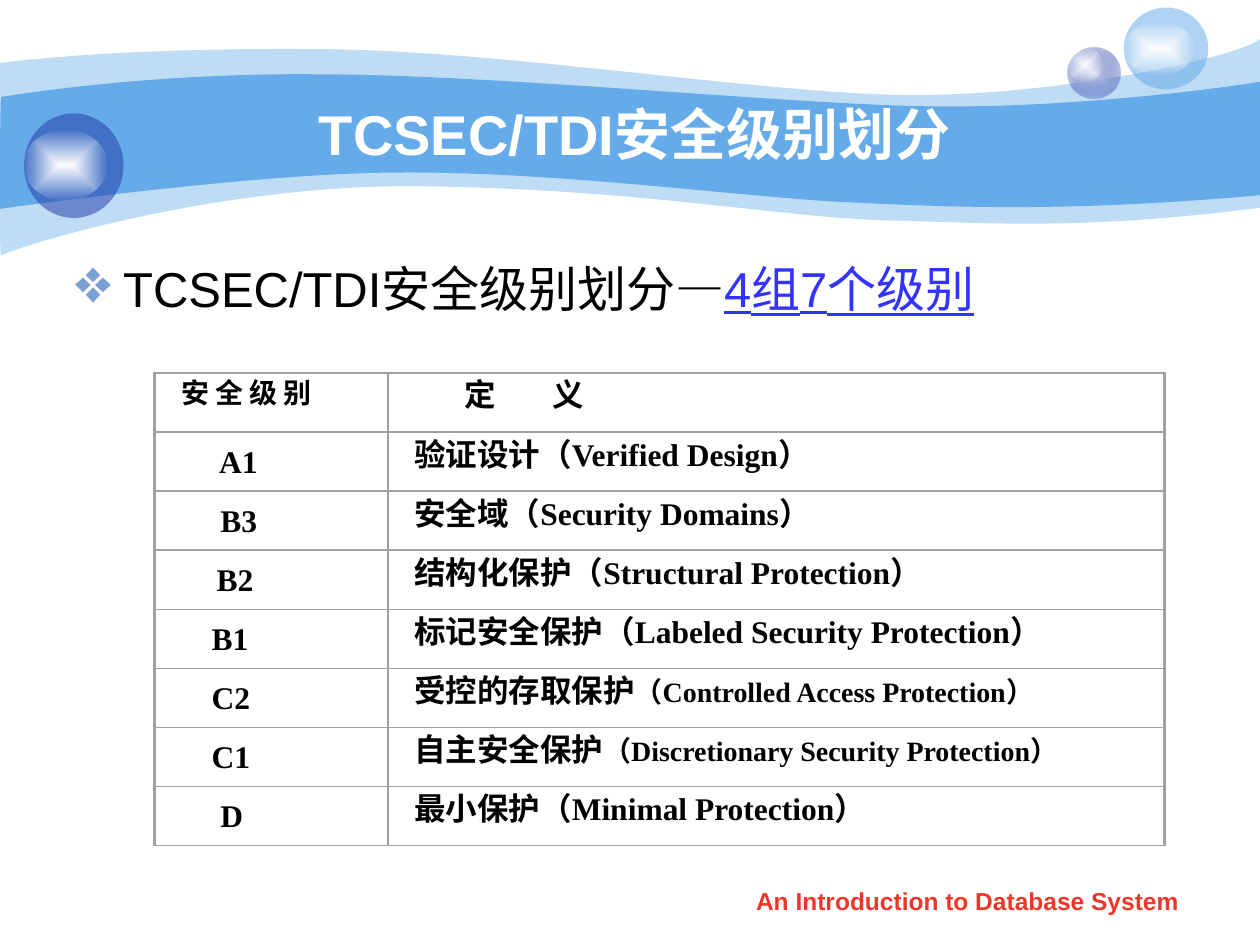
from dataclasses import dataclass

from lxml import etree
from pptx import Presentation
from pptx.dml.color import RGBColor
from pptx.enum.shapes import MSO_SHAPE
from pptx.enum.text import MSO_ANCHOR, PP_ALIGN
from pptx.oxml import parse_xml
from pptx.oxml.ns import nsdecls, qn
from pptx.util import Inches, Pt

OVAL, RECTANGLE = MSO_SHAPE.OVAL, MSO_SHAPE.RECTANGLE
LEFT, CENTER, JUSTIFY = PP_ALIGN.LEFT, PP_ALIGN.CENTER, PP_ALIGN.JUSTIFY
TOP, MIDDLE = MSO_ANCHOR.TOP, MSO_ANCHOR.MIDDLE


@dataclass(frozen=True)
class Theme:
    sky: str = "65AAE9"
    navy: str = "233DA9"
    mist: str = "C7CEE9"
    white: str = "FFFFFF"
    black: str = "000000"
    blue: str = "3333FF"
    red: str = "F03628"
    bullet: str = "7DA0D3"
    border: str = "A0A0A0"
    sans: str = "Arial"
    serif: str = "Times New Roman"
    title_size: float = 32
    body_size: float = 28
    table_size: float = 18
    small_size: float = 16
    footer_size: float = 14
    bullet_percent: int = 128
    frame_width: float = 0.88
    grid_width: float = 0


THEME = Theme()


@dataclass(frozen=True)
class Span:
    text: str
    size: float = THEME.table_size
    color: str = THEME.black
    font: str = THEME.serif
    bold: bool = True
    underline: bool = False
    spacing: float = 0


@dataclass(frozen=True)
class Wave:
    start: tuple
    curves: tuple  # two control points and an end; a lone end is a straight side
    opacity: int


@dataclass(frozen=True)
class Ball:
    box: tuple
    glow: tuple
    color: str
    opacity: int
    center: str = ""  # inner gradient colour, if any


@dataclass(frozen=True)
class Row:
    level: Span
    indent: float
    definition: tuple
    definition_indent: float = 0


WAVES = (
    Wave((0, 0.5), (
        (0.24, 0.47, 1.07, 0.38, 2.47, 0.39), (3.86, 0.39, 5.75, 0.7, 6.99, 0.75),
        (8.22, 0.8, 9.8, 0.47, 10, 0.31), (10, 1.65),
        (8.58, 1.83, 7.87, 1.77, 7.05, 1.75), (6.22, 1.73, 5.15, 1.51, 3.43, 1.48),
        (1.72, 1.44, 0.04, 1.99, 0.01, 2.03), (-0.01, 2.08, 0, 0.75, 0, 0.5)), 41),
    Wave((0.01, 0.77), (
        (0.02, 0.77, 1.1, 0.58, 2.48, 0.59), (3.86, 0.59, 5.95, 0.8, 7.18, 0.84),
        (8.41, 0.88, 9.76, 0.69, 10, 0.65), (10, 1.55),
        (8.53, 1.68, 7.65, 1.65, 6.82, 1.61), (5.99, 1.58, 4.47, 1.36, 3.17, 1.37),
        (2.03, 1.37, -0.02, 1.66, -0.01, 1.66), (0, 1.66, 0, 0.77, 0.01, 0.77)), 100),
)
BALLS = (
    Ball((8.47, 0.38, 0.42, 0.4), (8.47, 0.38, 0.28, 0.27), THEME.navy, 31, THEME.mist),
    Ball((8.92, 0.06, 0.67, 0.65), (8.92, 0.17, 0.56, 0.43), THEME.sky, 53),
    Ball((0.19, 0.9, 0.79, 0.83), (0.19, 1.03, 0.66, 0.56), THEME.navy, 53),
)
ROWS = (
    Row(Span("安 全 级 别", THEME.small_size), 0, (Span("定 ", spacing=14), Span("义")), 0.4),
    Row(Span("A1"), 0.3, (Span("验证设计（Verified Design）"),)),
    Row(Span("B3"), 0.31, (Span("安全域（Security Domains）"),)),
    Row(Span("B2"), 0.28, (Span("结构化保护（Structural Protection）"),)),
    Row(Span("B1"), 0.24, (Span("标记安全保护（Labeled Security Protection）"),)),
    Row(Span("C2"), 0.24, (Span("受控的存取保护"),
                           Span("（Controlled Access Protection）", THEME.small_size))),
    Row(Span("C1"), 0.24, (Span("自主安全保护"),
                           Span("（Discretionary Security Protection）", THEME.small_size))),
    Row(Span("D"), 0.31, (Span("最小保护（Minimal Protection）"),)),
)


def add_text(page, box: tuple, spans, *, align=LEFT, anchor=TOP, bullet: str = "",
             indent: float = 0, inset_top: float = 0.05) -> None:
    frame = page.shapes.add_textbox(*map(Inches, box)).text_frame
    frame.word_wrap, frame.vertical_anchor = True, anchor
    frame.margin_left, frame.margin_top = Inches(0.1 + indent), Inches(inset_top)
    para = frame.paragraphs[0]
    para.alignment = align
    if bullet:
        props = para._p.get_or_add_pPr()
        props.set("marL", str(Inches(0.38)))
        props.set("indent", str(-Inches(0.38)))
        color = etree.SubElement(props, qn("a:buClr"))
        etree.SubElement(color, qn("a:srgbClr"), val=THEME.bullet)
        etree.SubElement(props, qn("a:buSzPct"), val=str(THEME.bullet_percent * 1000))
        etree.SubElement(props, qn("a:buChar"), char=bullet)
    for span in spans:
        run = para.add_run()
        run.text = span.text
        run.font.name, run.font.size = span.font, Pt(span.size)
        run.font.bold, run.font.underline = span.bold, span.underline
        run.font.color.rgb = RGBColor.from_string(span.color)
        if span.spacing:
            run.font._element.set("spc", str(int(span.spacing * 100)))


def paint(shape, color: str, opacity: int, center: str = "") -> None:
    """Fill evenly, or from a centre colour outwards."""
    shape.shadow.inherit = False
    shape.line.fill.background()
    if not center:
        shape.fill.solid()
        shape.fill.fore_color.rgb = RGBColor.from_string(color)
        tint = shape.element.spPr.find(qn("a:solidFill"))[0]
        etree.SubElement(tint, qn("a:alpha"), val=str(opacity * 1000))
        return
    shape.fill.background()
    empty = shape.element.spPr.find(qn("a:noFill"))
    empty.getparent().replace(empty, parse_xml(
        f'<a:gradFill {nsdecls("a")} rotWithShape="1"><a:gsLst>'
        f'<a:gs pos="0"><a:srgbClr val="{center}"/></a:gs>'
        f'<a:gs pos="100000"><a:srgbClr val="{color}">'
        f'<a:alpha val="{opacity * 1000}"/></a:srgbClr></a:gs></a:gsLst>'
        '<a:path path="rect"><a:fillToRect l="50000" t="50000" r="50000" b="50000"/>'
        '</a:path></a:gradFill>'))


def add_wave(page, wave: Wave) -> None:
    points = [(Inches(curve[i]), Inches(curve[i + 1]))
              for curve in wave.curves for i in range(0, len(curve), 2)]
    builder = page.shapes.build_freeform(*map(Inches, wave.start))
    builder.add_line_segments(points, close=True)
    shape = builder.convert_to_shape()
    # Join each group of three segments into one Bezier curve
    segments = iter(list(shape.element.iter(qn("a:lnTo"))))
    for curve in wave.curves:
        first = next(segments)
        if len(curve) == 6:
            first.tag = qn("a:cubicBezTo")
            for segment in (next(segments), next(segments)):
                first.append(segment[0])
                segment.getparent().remove(segment)
    paint(shape, THEME.sky, wave.opacity)


def add_ball(page, ball: Ball) -> None:
    body = page.shapes.add_shape(OVAL, *map(Inches, ball.box))
    paint(body, ball.color, ball.opacity, ball.center)
    glow = page.shapes.add_shape(OVAL, *map(Inches, ball.glow))
    paint(glow, THEME.white, 0, THEME.white)


def add_outline(page, box: tuple, width: float) -> None:
    shape = page.shapes.add_shape(RECTANGLE, *map(Inches, box))
    shape.shadow.inherit = False
    shape.fill.background()
    shape.line.color.rgb = RGBColor.from_string(THEME.border)
    shape.line.width = Pt(width)


def add_level_grid(page) -> None:
    left, top, width, height = frame = (1.22, 2.96, 8.03, 3.75)
    row_height, gutter = height / len(ROWS), 0.11
    for number, row in enumerate(ROWS):
        y = top + number * row_height
        level_inset = 0.02 if number == 0 else 0.08
        cells = ((1.23, 1.85, (row.level,), row.indent, level_inset),
                 (3.08, 6.16, row.definition, row.definition_indent, 0.02))
        for x, cell_width, spans, indent, inset_top in cells:
            add_text(page, (x + gutter, y, cell_width - 2 * gutter, row_height), spans,
                     align=JUSTIFY, indent=indent, inset_top=inset_top)
            add_outline(page, (x, y, cell_width, row_height), THEME.grid_width)
    add_outline(page, frame, THEME.frame_width)


def main() -> None:
    deck = Presentation()
    deck.slide_width, deck.slide_height = Inches(10), Inches(7.5)
    page = deck.slides.add_slide(deck.slide_layouts[6])

    # Banner
    for wave in WAVES:
        add_wave(page, wave)
    for ball in BALLS:
        add_ball(page, ball)

    # Footer, title and statement
    add_text(page, (5.71, 6.98, 3.94, 0.35), [Span(
        "An Introduction to Database System", THEME.footer_size, THEME.red, THEME.sans)],
        align=CENTER)
    add_text(page, (1, 0.75, 8.08, 0.62), [Span(
        "TCSEC/TDI安全级别划分", THEME.title_size, THEME.white, THEME.sans)],
        align=CENTER, anchor=MIDDLE)
    add_text(page, (0.5, 2, 9, 4.92), [
        Span("TCSEC/TDI安全级别划分—", THEME.body_size, THEME.black, THEME.sans, False),
        Span("4组7个级别", THEME.body_size, THEME.blue, THEME.sans, False, True)], bullet="❖")

    # Security levels
    add_level_grid(page)
    deck.save("out.pptx")


if __name__ == "__main__":
    main()
